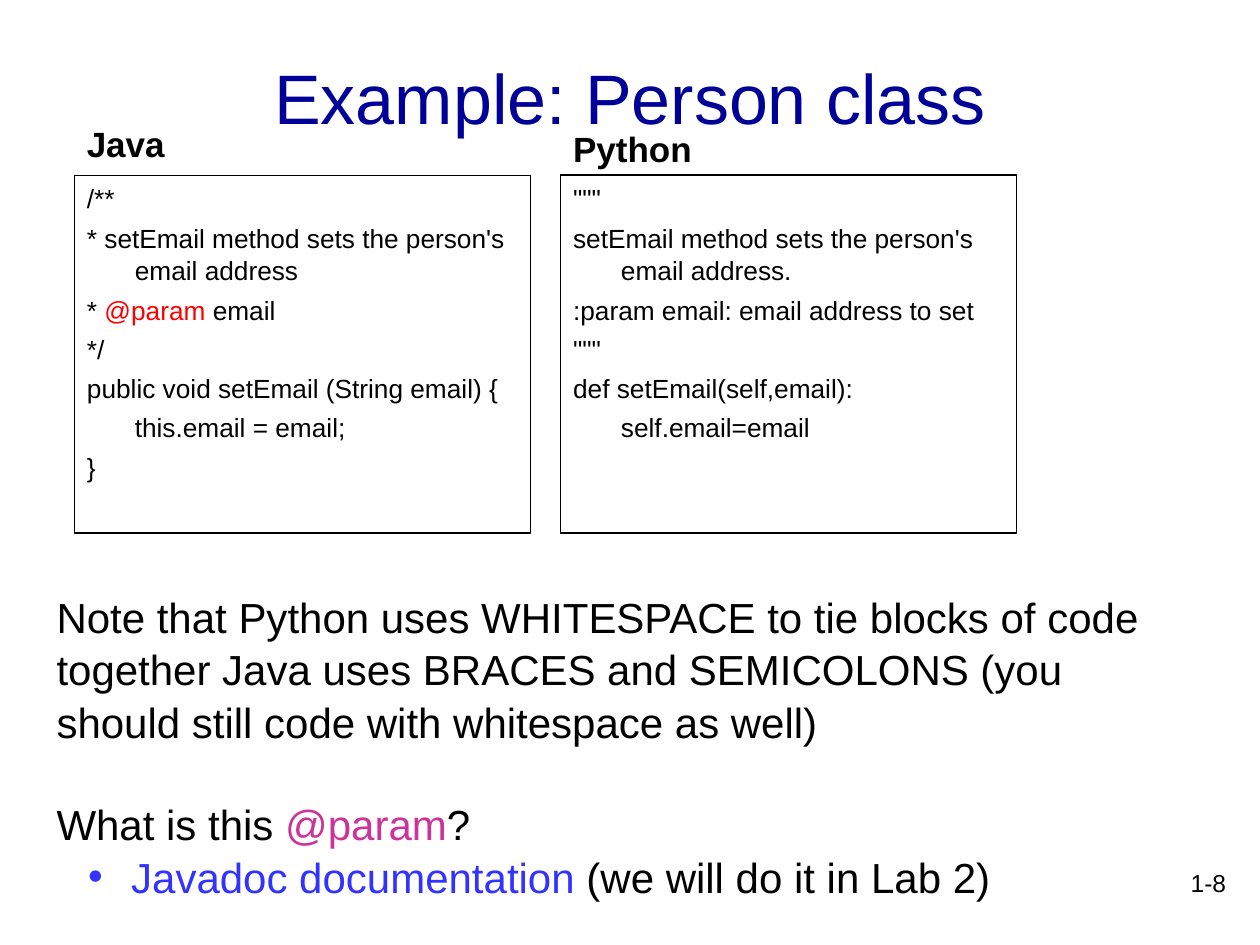
import pptx
import pptx.dml.color
import pptx.enum.shapes
import pptx.enum.text
import pptx.oxml
import pptx.oxml.ns
import pptx.util
from dataclasses import dataclass

Inches = pptx.util.Inches
Pt = pptx.util.Pt
RGB = pptx.dml.color.RGBColor.from_string
PP = pptx.enum.text.PP_ALIGN
AUTO = pptx.enum.text.MSO_AUTO_SIZE
NS = pptx.oxml.ns.nsdecls("a")


@dataclass
class Theme:
    font: str = "Arial"
    text: str = "000000"
    paper: str = "FFFFFF"
    title: str = "000099"
    tag: str = "FF0000"
    param: str = "CC3399"
    accent: str = "3333FF"
    title_size: int = 40
    note_size: int = 24
    label_size: int = 20
    code_size: int = 15
    number_size: int = 14


theme = Theme()


def setup(sp, box, auto=AUTO.NONE, wrap=True):
    for name, value in zip(("left", "top", "width", "height"), box):
        setattr(sp, name, Inches(value))
    frame = {
        "margin_left": Inches(0.1), "margin_right": Inches(0.1),
        "margin_top": Inches(0.05), "margin_bottom": Inches(0.05),
        "word_wrap": wrap, "auto_size": auto,
        "vertical_anchor": pptx.enum.text.MSO_ANCHOR.TOP,
    }
    for name, value in frame.items():
        setattr(sp.text_frame, name, value)
    return sp.text_frame


def write(tf, paragraphs, size, align=PP.LEFT, gap=0, left=0, indent=0, bold=False):
    for i, para in enumerate(paragraphs):
        p = tf.paragraphs[0] if i == 0 else tf.add_paragraph()
        opts = {"left": left, "indent": indent, "gap": gap if i else 0, **para.get("fmt", {})}
        pPr = p._p.get_or_add_pPr()
        pPr.set("marL", str(Inches(opts["left"])))
        pPr.set("indent", str(Inches(opts["indent"])))
        bullet = opts.get("bullet")
        marks = [f'<a:buClr {NS}><a:srgbClr val="{theme.accent}"/></a:buClr>',
                 f'<a:buFont {NS} typeface="{theme.font}"/>',
                 f'<a:buChar {NS} char="{bullet}"/>'] if bullet else [f"<a:buNone {NS}/>"]
        for mark in marks:
            pPr.append(pptx.oxml.parse_xml(mark))
        layout = {"alignment": align, "line_spacing": 1.04,
                  "space_before": Pt(opts["gap"]), "level": opts.get("level", 0)}
        for name, value in layout.items():
            setattr(p, name, value)
        for text, color in para["runs"]:
            r = p.add_run()
            r.text = text
            for name, value in {"name": theme.font, "size": Pt(size), "bold": bold}.items():
                setattr(r.font, name, value)
            r.font.color.rgb = RGB(color)


prs = pptx.Presentation()
prs.slide_width, prs.slide_height = Inches(10), Inches(7.5)
s = prs.slides.add_slide(prs.slide_layouts[1])

tf = setup(s.shapes.title, (0.75, 0.36, 8.5, 0.77))
write(tf, [{"runs": [("Example: Person class", theme.title)]}], theme.title_size, PP.CENTER)

java = [
    [("/**", theme.text)],
    [("* setEmail method sets the person's email address", theme.text)],
    [("* ", theme.text), ("@param", theme.tag), (" email", theme.text)],
    [("*/", theme.text)],
    [("public void setEmail (String email) {", theme.text)],
    [("\tthis.email = email;", theme.text)],
    [("}", theme.text)],
]
python = [[(line, theme.text)] for line in (
    '"""',
    "setEmail method sets the person's email address.",
    ":param email: email address to set",
    '"""',
    "def setEmail(self,email):",
    "\tself.email=email",
)]
rect = s.shapes.add_shape(pptx.enum.shapes.MSO_SHAPE.RECTANGLE, 0, 0, 0, 0)
rect.shadow.inherit = False
panels = [
    (s.placeholders[1], java, "Java", 0.59, 0.91, 0.82),
    (rect, python, "Python", 4.45, 0.95, 1.14),
]
for sp, code, label, x, y, w in panels:
    tf = setup(sp, (x, 1.39, 3.62, 2.84))
    sp.fill.solid()
    sp.fill.fore_color.rgb = RGB(theme.paper)
    sp.line.color.rgb = RGB(theme.text)
    sp.line.width = Pt(0.75)
    write(tf, [{"runs": runs} for runs in code], theme.code_size,
          gap=3.7, left=0.38, indent=-0.38)
    tf = setup(s.shapes.add_textbox(0, 0, 0, 0), (x, y, w, 0.44), AUTO.SHAPE_TO_FIT_TEXT, False)
    write(tf, [{"runs": [(label, theme.text)]}], theme.label_size, bold=True)

notes = [
    {"runs": [("Note that Python uses WHITESPACE to tie blocks of code together Java uses "
               "BRACES and SEMICOLONS (you should still code with whitespace as well)", theme.text)]},
    {"runs": [("What is this ", theme.text), ("@param", theme.param), ("?", theme.text)],
     "fmt": {"gap": 28.7}},
    {"runs": [(" Javadoc documentation", theme.accent), (" (we will do it in Lab 2)", theme.text)],
     "fmt": {"left": 0.5, "indent": -0.25, "bullet": "•", "level": 1}},
]
tf = setup(s.shapes.add_textbox(0, 0, 0, 0), (0.35, 4.63, 8.98, 2.5), AUTO.SHAPE_TO_FIT_TEXT)
write(tf, notes, theme.note_size)

tf = setup(s.shapes.add_textbox(0, 0, 0, 0), (7.75, 6.83, 2.08, 0.5))
write(tf, [{"runs": [("1-8", theme.text)]}], theme.number_size, PP.RIGHT)

prs.save("out.pptx")
